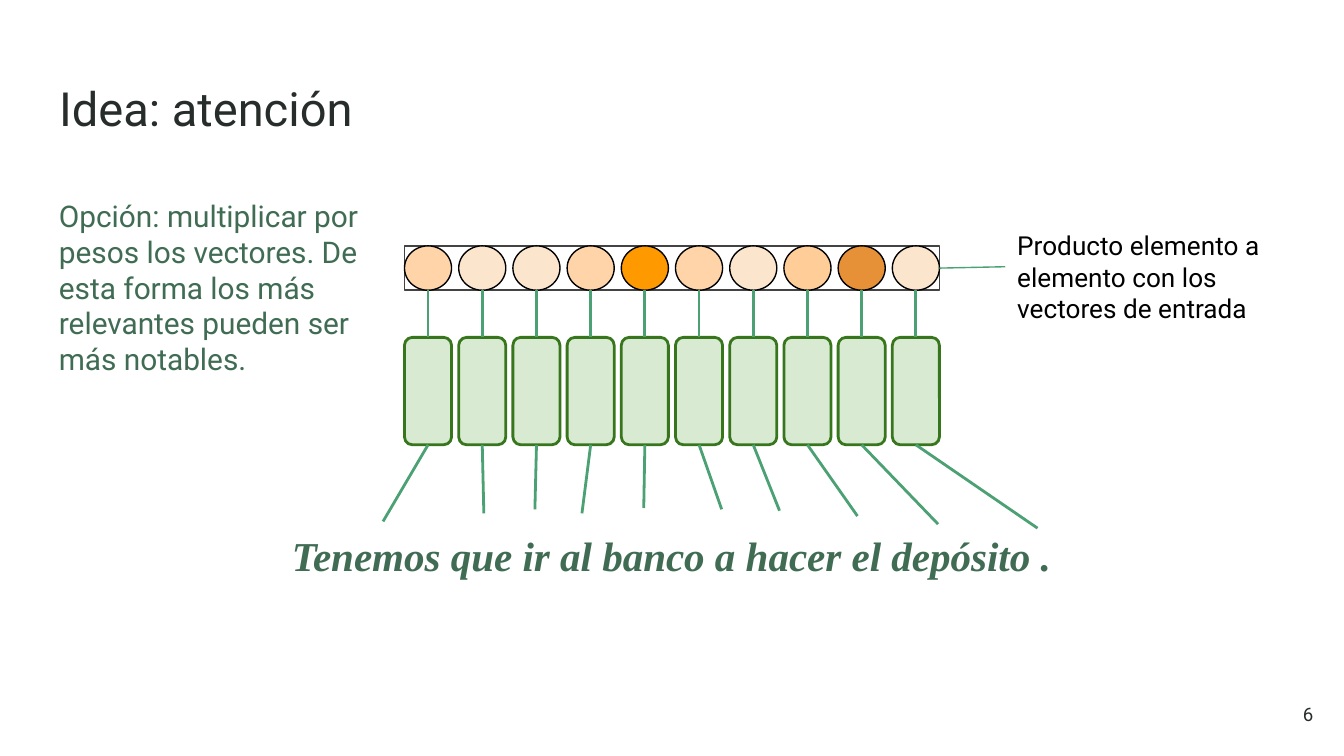
import pptx
import pptx.util
from pptx.dml.color import RGBColor
from pptx.enum.shapes import MSO_CONNECTOR, MSO_SHAPE
from pptx.enum.text import MSO_ANCHOR, MSO_AUTO_SIZE, PP_ALIGN
from pptx.oxml.ns import qn
from lxml import etree

Inches, Pt = pptx.util.Inches, pptx.util.Pt

SLIDE_WIDTH = 10
SLIDE_HEIGHT = SLIDE_WIDTH * 9 / 16
COLORS = {
    "ink": "272D2A", "green_text": "406C54", "link": "4BA173",
    "vector_fill": "D9EAD3", "vector_line": "38761D",
    "frame": "434343", "black": "000000", "white": "FFFFFF",
    "low": "FCE5CD", "medium": "FFD4A8", "raised": "FFCD98",
    "high": "E69138", "top": "FF9900",
}
WEIGHTS = ["medium", "low", "low", "medium", "top",
           "medium", "low", "raised", "high", "low"]
# Where each vector's line meets its word
WORD_POINTS = [(2.85, 3.88), (3.6, 3.82), (3.98, 3.79), (4.33, 3.82), (4.79, 3.78),
               (5.37, 3.79), (5.8, 3.8), (6.38, 3.84), (6.98, 3.9), (7.72, 3.93)]


def color(name):
    return RGBColor.from_string(COLORS[name])


def write_text(shape, text, size, color_name, font="Roboto", align=PP_ALIGN.LEFT,
               anchor=MSO_ANCHOR.TOP, emphasis=False):
    frame = shape.text_frame
    frame.text = text
    frame.word_wrap = True
    frame.auto_size = MSO_AUTO_SIZE.NONE
    frame.vertical_anchor = anchor
    frame.margin_left = frame.margin_right = Inches(0.1)
    frame.margin_top = frame.margin_bottom = Inches(0.1)
    paragraph = frame.paragraphs[0]
    paragraph.alignment = align
    run_font = paragraph.runs[0].font
    run_font.name, run_font.size = font, Pt(size)
    run_font.bold = run_font.italic = emphasis
    run_font.color.rgb = color(color_name)
    return paragraph


def add_text(slide, box, *args, **kwargs):
    shape = slide.shapes.add_textbox(*map(Inches, box))
    return write_text(shape, *args, **kwargs)


def add_shape(slide, kind, box, fill, line, width):
    shape = slide.shapes.add_shape(kind, *map(Inches, box))
    shape.shadow.inherit = False
    if fill:
        shape.fill.solid()
        shape.fill.fore_color.rgb = color(fill)
    else:
        shape.fill.background()
    shape.line.color.rgb = color(line)
    shape.line.width = Pt(width)
    return shape


def add_link(slide, start, end, width=1.5):
    connector = slide.shapes.add_connector(
        MSO_CONNECTOR.STRAIGHT, *map(Inches, (*start, *end)))
    connector.line.color.rgb = color("link")
    connector.line.width = Pt(width)
    etree.SubElement(connector._element.spPr, qn("a:effectLst"))


def add_title(slide, box):
    title = slide.shapes.title
    title.left, title.top, title.width, title.height = map(Inches, box)
    write_text(title, "Idea: atención", 25.2, "ink")


def add_attention_diagram(slide, box):
    """Draw a row of weights over a row of vectors, linked down to the words."""
    left, top, width, height = box
    item_width = 0.088 * width
    pitch = (width - item_width) / (len(WEIGHTS) - 1)
    weight_height = 0.223 * height
    vector_top, vector_height = top + 0.46 * height, 0.54 * height
    columns = [left + index * pitch for index in range(len(WEIGHTS))]
    centers = [column + item_width / 2 for column in columns]

    for column in columns:
        add_shape(slide, MSO_SHAPE.ROUNDED_RECTANGLE,
                  (column, vector_top, item_width, vector_height),
                  "vector_fill", "vector_line", 1.5)
    for center, point in zip(centers, WORD_POINTS):
        add_link(slide, (center, top + height), point)

    add_shape(slide, MSO_SHAPE.RECTANGLE, (left, top, width, weight_height),
              None, "frame", 0.75)
    for column, weight in zip(columns, WEIGHTS):
        add_shape(slide, MSO_SHAPE.OVAL, (column, top, item_width, weight_height),
                  weight, "black", 0.75)
    for center in centers:
        add_link(slide, (center, top + weight_height), (center, vector_top))

    middle = top + weight_height / 2
    add_link(slide, (left + width, middle), (left + 1.123 * width, middle - 0.01), 0.75)


def add_notes_around_diagram(slide):
    add_text(slide, (0.34, 1.37, 2.45, 1.55),
             "Opción: multiplicar por pesos los vectores. De esta forma los más "
             "relevantes pueden ser más notables.", 16, "green_text")
    add_text(slide, (7.47, 1.61, 2.18, 0.91),
             "Producto elemento a elemento con los vectores de entrada", 14, "black")


def add_sentence(slide, box):
    paragraph = add_text(slide, box, "Tenemos que ir al banco a hacer el depósito .",
                         22, "green_text", font="Times New Roman",
                         align=PP_ALIGN.CENTER, emphasis=True)
    paragraph.line_spacing = 1.15
    paragraph.space_after = Pt(12)


def main():
    presentation = pptx.Presentation()
    presentation.slide_width = Inches(SLIDE_WIDTH)
    presentation.slide_height = Inches(SLIDE_HEIGHT)
    slide = presentation.slides.add_slide(presentation.slide_layouts[5])
    slide.background.fill.solid()
    slide.background.fill.fore_color.rgb = color("white")

    add_title(slide, (0.34, 0.49, 9.32, 0.63))
    add_text(slide, (9.27, 5.1, 0.6, 0.43), "6", 10, "ink",
             align=PP_ALIGN.RIGHT, anchor=MSO_ANCHOR.MIDDLE)
    add_sentence(slide, (1.14, 3.79, 7.71, 0.57))
    add_attention_diagram(slide, (3.01, 1.83, 3.98, 1.48))
    add_notes_around_diagram(slide)
    presentation.save("out.pptx")


if __name__ == "__main__":
    main()
